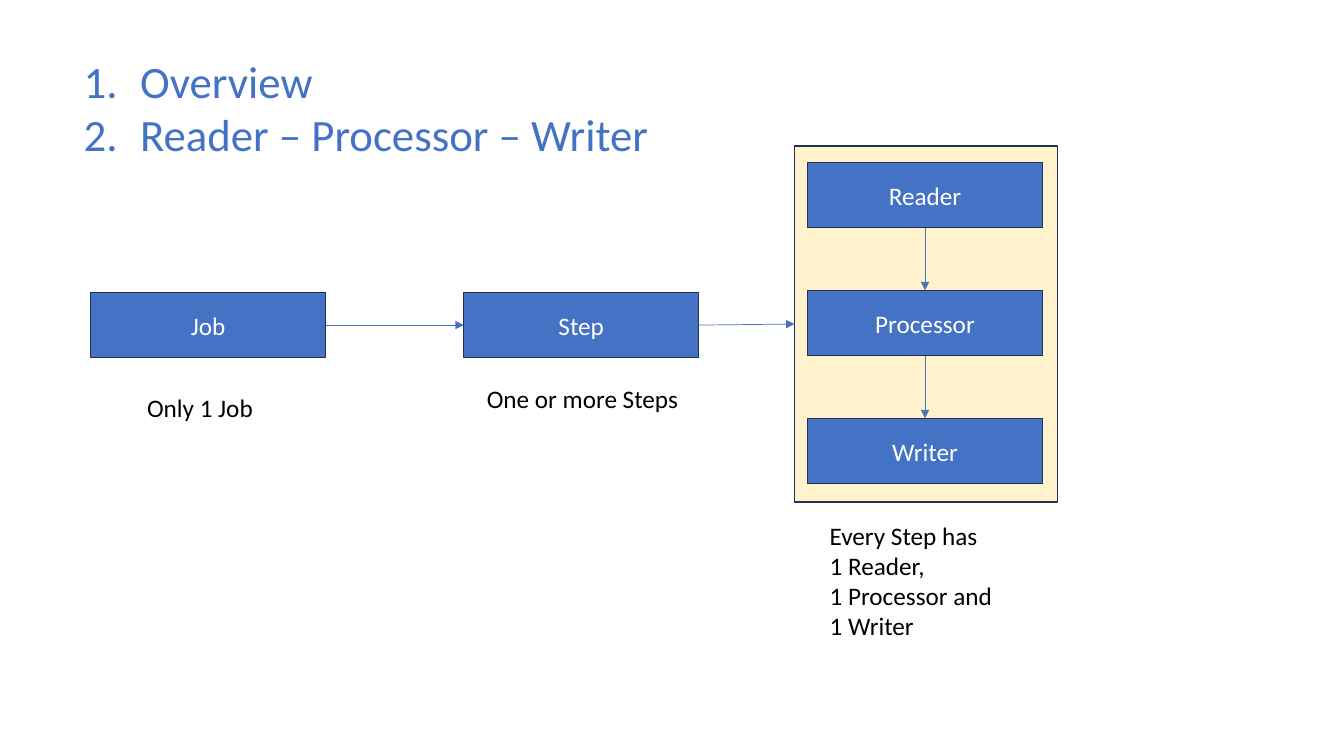
from lxml import etree
from pptx import Presentation
from pptx import util as u
from pptx.dml.color import RGBColor
from pptx.enum import shapes, text
from pptx.oxml import ns

PX = 9144  # EMU, 100 px to the inch
FONT = "Calibri"
COLORS = {
    "blue": "4472C4",
    "navy": "1E3256",
    "cream": "FFF2CC",
    "white": "FFFFFF",
    "black": "000000",
}
TOP, LEFT, BOTTOM, RIGHT = range(4)  # connection sites of a rectangle
BOX_W, BOX_H = 233, 65


def rgb(name):
    return RGBColor.from_string(COLORS[name])


def px(*lengths):
    return [u.Emu(n * PX) for n in lengths]


def format_text(tf, size, color, align):
    for p in tf.paragraphs:
        p.alignment = align
        for r in p.runs:
            r.font.size = u.Pt(size)
            r.font.name = FONT
            r.font.color.rgb = rgb(color)


def add_rect(parent, x, y, w, h, fill):
    sp = parent.add_shape(shapes.MSO_SHAPE.RECTANGLE, *px(x, y, w, h))
    sp.shadow.inherit = False
    sp.fill.solid()
    sp.fill.fore_color.rgb = rgb(fill)
    sp.line.color.rgb = rgb("navy")
    sp.line.width = u.Pt(1)
    return sp


def add_box(parent, label, x, y):
    sp = add_rect(parent, x, y, BOX_W, BOX_H, "blue")
    tf = sp.text_frame
    tf.text = label
    tf.vertical_anchor = text.MSO_ANCHOR.MIDDLE
    format_text(tf, 18, "white", text.PP_ALIGN.CENTER)
    return sp


def add_arrow(parent, start, start_site, end, end_site):
    cxn = parent.add_connector(shapes.MSO_CONNECTOR.STRAIGHT,
                               start.left, start.top, end.left, end.top)
    cxn.begin_connect(start, start_site)
    cxn.end_connect(end, end_site)
    cxn.line.color.rgb = rgb("blue")
    cxn.line.width = u.Pt(0.5)
    etree.SubElement(cxn.line._get_or_add_ln(), ns.qn("a:tailEnd"), type="triangle")
    etree.SubElement(cxn._element.spPr, ns.qn("a:effectLst"))


def add_caption(parent, caption, x, y, w, h):
    tf = parent.add_textbox(*px(x, y, w, h)).text_frame
    tf.word_wrap = True
    tf.text = caption
    format_text(tf, 18, "black", text.PP_ALIGN.LEFT)


def set_title(title, lines, x, y, w, h):
    title.left, title.top, title.width, title.height = px(x, y, w, h)
    tf = title.text_frame
    tf.text = "\n".join(lines)
    tf.word_wrap = True
    tf.auto_size = text.MSO_AUTO_SIZE.NONE
    tf.vertical_anchor = text.MSO_ANCHOR.TOP
    format_text(tf, 32, "blue", text.PP_ALIGN.LEFT)
    indent = px(56)[0]
    for p in tf.paragraphs:
        p_pr = p._p.get_or_add_pPr()
        p_pr.set("marL", str(indent))
        p_pr.set("indent", str(-indent))
        etree.SubElement(p_pr, ns.qn("a:buFont"), typeface="+mj-lt")
        etree.SubElement(p_pr, ns.qn("a:buAutoNum"), type="arabicPeriod")


def main():
    prs = Presentation()
    prs.slide_width, prs.slide_height = px(1333, 750)
    slide = prs.slides.add_slide(prs.slide_layouts[5])

    # Numbered title
    set_title(slide.shapes.title, ["Overview", "Reader – Processor – Writer"],
              73, 48, 638, 118)

    # Job and step
    job = add_box(slide.shapes, "Job", 90, 290)
    step = add_box(slide.shapes, "Step", 460, 290)
    add_arrow(slide.shapes, job, RIGHT, step, LEFT)

    # Stages inside a step
    group = slide.shapes.add_group_shape().shapes
    panel = add_rect(group, 788, 145, 261, 353, "cream")
    stages = [add_box(group, label, 801, 161 + 127 * i)
              for i, label in enumerate(["Reader", "Processor", "Writer"])]
    for upper, lower in zip(stages, stages[1:]):
        add_arrow(group, upper, BOTTOM, lower, TOP)
    add_arrow(slide.shapes, step, RIGHT, panel, LEFT)

    # Captions
    add_caption(slide.shapes, "Only 1 Job", 136, 384, 175, 40)
    add_caption(slide.shapes, "One or more Steps", 473, 375, 211, 40)
    add_caption(slide.shapes,
                "Every Step has\n1 Reader,\n1 Processor and\n1 Writer",
                813, 511, 211, 131)

    prs.save("out.pptx")


if __name__ == "__main__":
    main()
